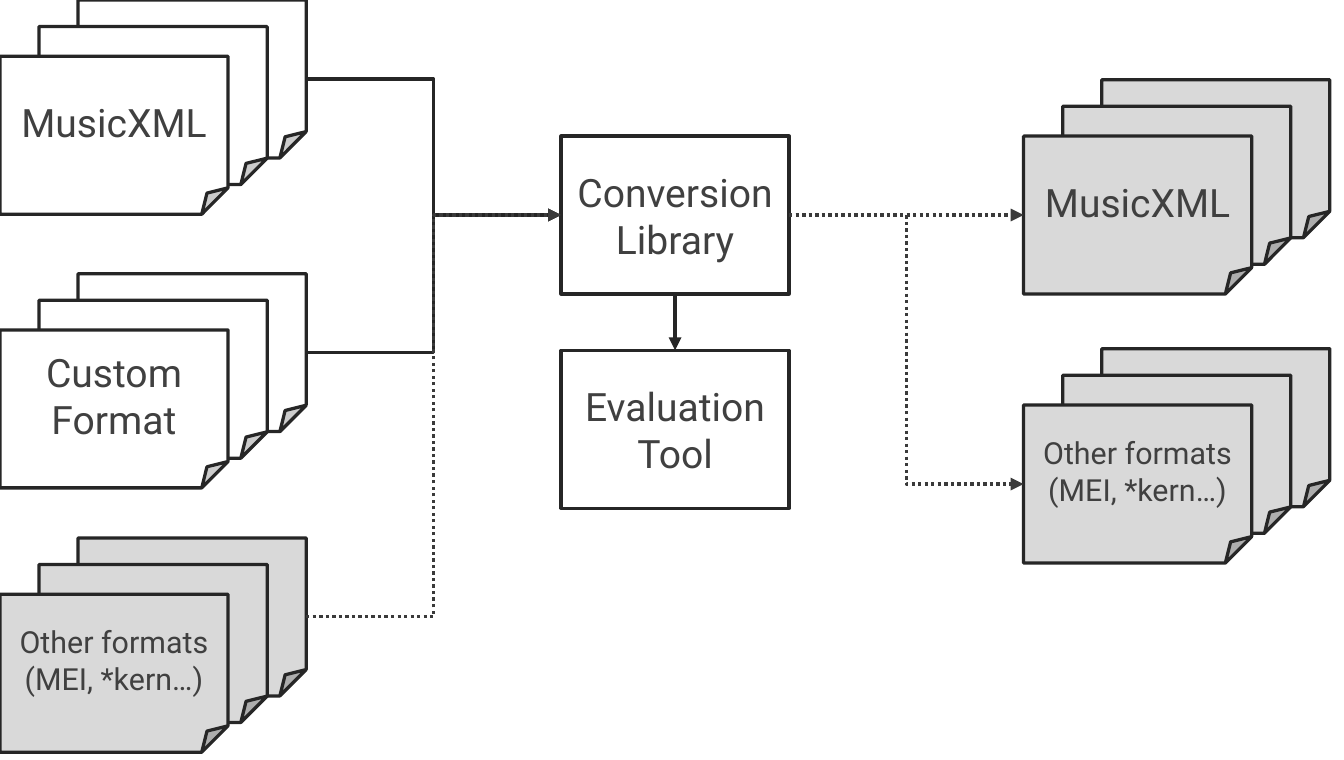
from pptx import Presentation
from pptx.dml.color import RGBColor
from pptx.enum.dml import MSO_LINE
from pptx.enum.shapes import MSO_CONNECTOR, MSO_SHAPE
from pptx.enum.text import MSO_ANCHOR, PP_ALIGN
from pptx.oxml.ns import qn
from pptx.util import Inches, Pt
from lxml import etree

RECT, PAGE = MSO_SHAPE.RECTANGLE, MSO_SHAPE.FOLDED_CORNER
STRAIGHT, ELBOW = MSO_CONNECTOR.STRAIGHT, MSO_CONNECTOR.ELBOW
DOTTED = MSO_LINE.ROUND_DOT
MIDDLE, CENTER = MSO_ANCHOR.MIDDLE, PP_ALIGN.CENTER
BOTTOM, LEFT, RIGHT, TOP = 2, 1, 3, 0

COLORS = {"line": "262626", "dotted": "3A3A3A", "text": "404040",
          "solid": "FFFFFF", "planned": "D9D9D9"}
BOX_W, BOX_H = 1.46, 1.01
LIBRARY_X, LIBRARY_Y, TOOL_Y = 3.59, 0.87, 2.24
INPUT_X, OUTPUT_X = 0, 6.55
PAGE_OFFSETS = [(0.5, -0.36), (0.25, -0.19), (0, 0)]
FRAME = {"word_wrap": True, "vertical_anchor": MIDDLE,
         "margin_left": Inches(0.05), "margin_right": Inches(0.05)}

OTHER = ["Other formats", "(MEI, *kern…)"]
INPUTS = [
    (0.36, ["MusicXML"], 18, "solid"),
    (2.11, ["Custom Format"], 18, "solid"),
    (3.8, OTHER, 14, "planned"),
]
OUTPUTS = [
    (0.87, ["MusicXML"], 18, "planned"),
    (2.59, OTHER, 14, "planned"),
]


def rgb(name):
    return RGBColor.from_string(COLORS[name])


def set_text(sp, lines, size):
    tf = sp.text_frame
    for name, value in FRAME.items():
        setattr(tf, name, value)
    for i, line in enumerate(lines):
        p = tf.paragraphs[0] if i == 0 else tf.add_paragraph()
        p.alignment = CENTER
        r = p.add_run()
        r.text = line
        font = {"name": "Roboto", "size": Pt(size)}
        for name, value in font.items():
            setattr(r.font, name, value)
        r.font.color.rgb = rgb("text")


def add_box(s, kind, x, y, fill, lines=(), size=18):
    sp = s.shapes.add_shape(kind, Inches(x), Inches(y), Inches(BOX_W), Inches(BOX_H))
    sp.shadow.inherit = False
    sp.fill.solid()
    sp.fill.fore_color.rgb = rgb(fill)
    sp.line.color.rgb = rgb("line")
    sp.line.width = Pt(1.5)
    set_text(sp, lines, size)
    return sp


def add_stack(s, x, y, lines, size, fill):
    """Draw three overlapping pages and return the front one, which has the text."""
    for dx, dy in PAGE_OFFSETS:
        front = (dx, dy) == PAGE_OFFSETS[-1]
        sp = add_box(s, PAGE, x + dx, y + dy, fill, lines if front else (), size)
    return sp


def add_arrow(s, kind, start, end, dotted=False):
    cx = s.shapes.add_connector(kind, *(Inches(v) for v in (*start, *end)))
    cx.line.color.rgb = rgb("dotted" if dotted else "line")
    cx.line.width = Pt(1.5)
    if dotted:
        cx.line.dash_style = DOTTED
    etree.SubElement(cx.line._get_or_add_ln(), qn("a:tailEnd"), type="triangle")
    etree.SubElement(cx._element.spPr, qn("a:effectLst"))
    return cx


def join(cx, source, source_side, target, target_side):
    cx.begin_connect(source, source_side)
    cx.end_connect(target, target_side)


def main():
    prs = Presentation()
    prs.slide_width, prs.slide_height = Inches(8.6), Inches(4.86)
    s = prs.slides.add_slide(prs.slide_layouts[6])

    library = add_box(s, RECT, LIBRARY_X, LIBRARY_Y, "solid", ["Conversion", "Library"])
    tool = add_box(s, RECT, LIBRARY_X, TOOL_Y, "solid", ["Evaluation Tool"])
    middle_y = LIBRARY_Y + BOX_H / 2
    library_in = (LIBRARY_X, middle_y)
    library_out = (LIBRARY_X + BOX_W, middle_y)

    back_dx, back_dy = PAGE_OFFSETS[0]
    for y, lines, size, fill in INPUTS:
        add_stack(s, INPUT_X, y, lines, size, fill)
        start = (INPUT_X + back_dx + BOX_W, y + back_dy + BOX_H / 2)
        add_arrow(s, ELBOW, start, library_in, fill == "planned")

    for y, lines, size, fill in OUTPUTS:
        page = add_stack(s, OUTPUT_X, y, lines, size, fill)
        level = y == LIBRARY_Y
        end = (OUTPUT_X, y + BOX_H / 2)
        cx = add_arrow(s, STRAIGHT if level else ELBOW, library_out, end, True)
        if level:
            join(cx, library, RIGHT, page, LEFT)

    center_x = LIBRARY_X + BOX_W / 2
    cx = add_arrow(s, STRAIGHT, (center_x, LIBRARY_Y + BOX_H), (center_x, TOOL_Y))
    join(cx, library, BOTTOM, tool, TOP)

    prs.save("out.pptx")


if __name__ == "__main__":
    main()
